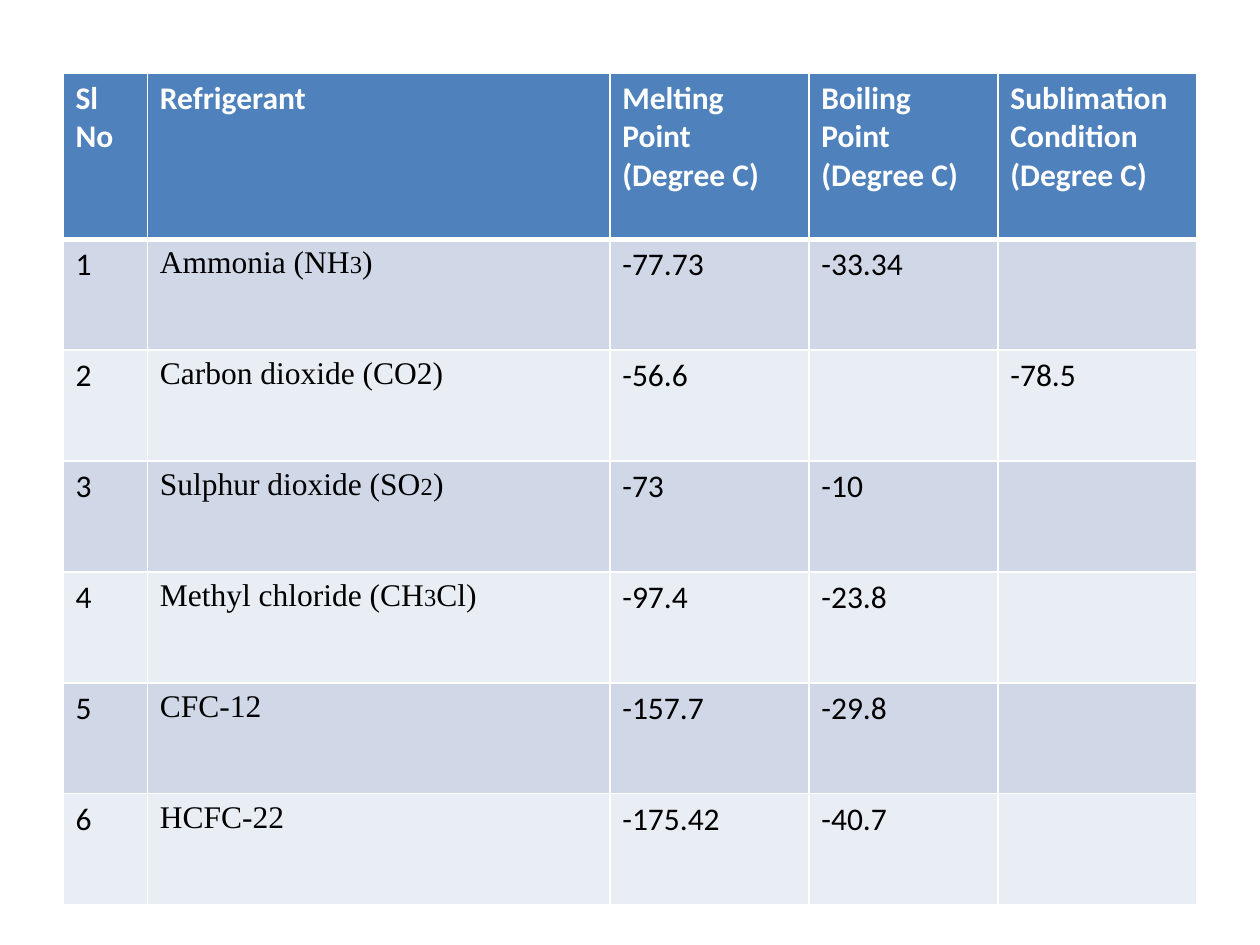
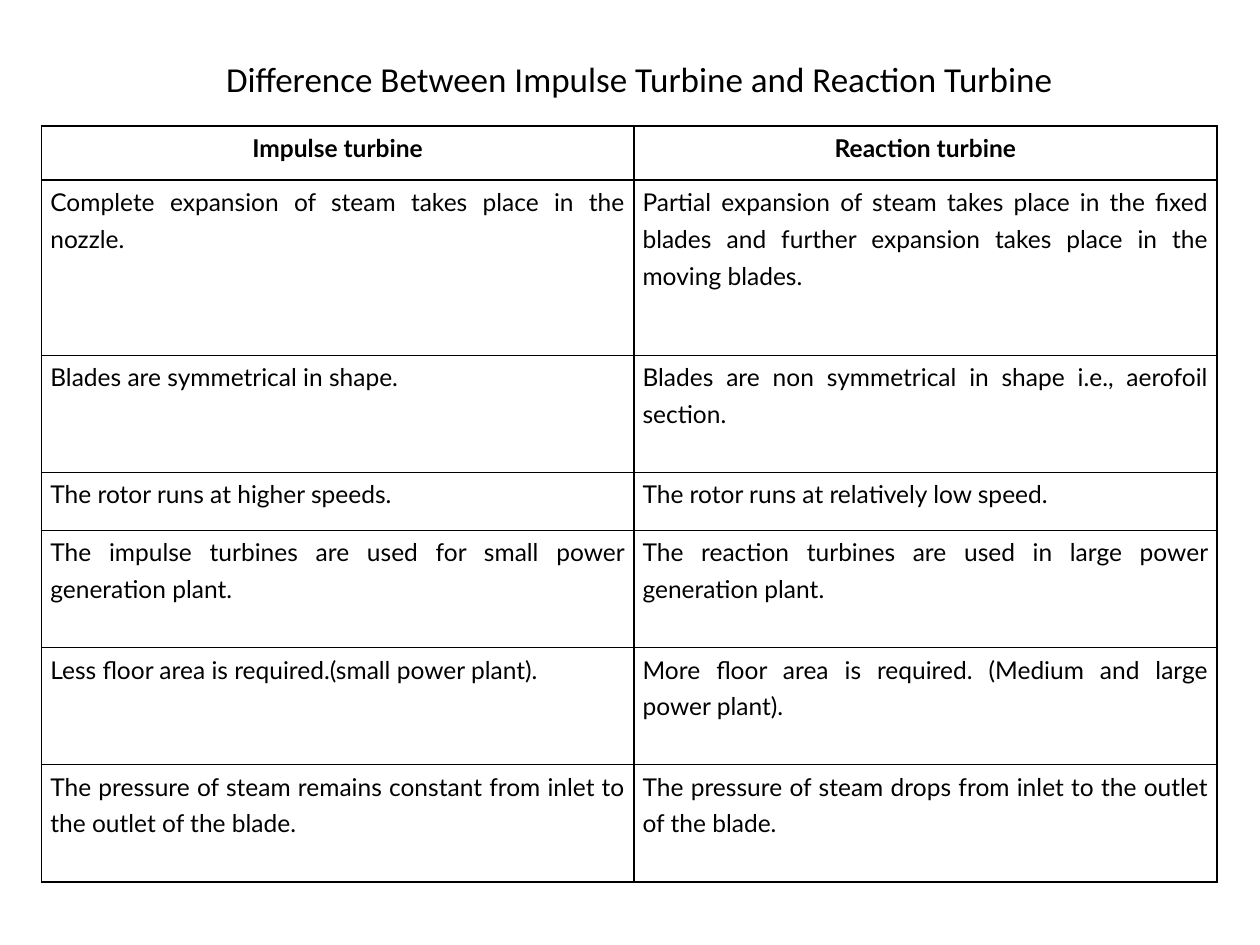
from pptx import Presentation
from pptx.dml.color import RGBColor
from pptx.enum.text import MSO_ANCHOR, PP_ALIGN as AL
from pptx.oxml import parse_xml
from pptx.oxml.ns import nsdecls
from pptx.util import Inches, Pt

rgb = RGBColor.from_string
BLACK, WHITE, BLUE = "000000", "FFFFFF", "4F81BD"
BANDS = ["E9EDF4", "D0D8E8"]


def write(tf, text, font="Calibri", size=18, small=14, color=BLACK, bold=False,
          align=AL.LEFT, spacing=1.0):
    for i, line in enumerate(text.split("\n")):
        p = tf.paragraphs[0] if i == 0 else tf.add_paragraph()
        p.alignment = align
        p.line_spacing = spacing
        for j, part in enumerate(line.split("_")):
            if part:
                r = p.add_run()
                r.text = part
                r.font.name = font
                r.font.size = Pt(small if j % 2 else size)
                r.font.bold = bold
                r.font.color.rgb = rgb(color)


def add_grid(s, left, top, widths, heights, border, header_line=1):
    size = Inches(sum(widths)), Inches(sum(heights))
    table = s.shapes.add_table(len(heights), len(widths), Inches(left), Inches(top), *size).table
    table.first_row = table.horz_banding = False
    for col, w in zip(table.columns, widths):
        col.width = Inches(w)
    for i, (row, h) in enumerate(zip(table.rows, heights)):
        row.height = Inches(h)
        for cell in row.cells:
            for side in "LRTB":
                thick = (i, side) in [(0, "B"), (1, "T")]
                width = Pt(header_line if thick else 1)
                cell._tc.get_or_add_tcPr().append(parse_xml(
                    f'<a:ln{side} {nsdecls("a")} w="{width}"><a:solidFill>'
                    f'<a:srgbClr val="{border}"/></a:solidFill></a:ln{side}>'))
    return table


prs = Presentation()
prs.slide_width, prs.slide_height = Inches(10), Inches(7.5)
blank = prs.slide_layouts[6]

refrigerants = [
    ["Sl No", "Refrigerant", "Melting Point\n(Degree C)", "Boiling Point\n(Degree C)",
     "Sublimation Condition\n(Degree C)"],
    ["1", "Ammonia (NH_3_)", "-77.73", "-33.34", ""],
    ["2", "Carbon dioxide (CO2)", "-56.6", "", "-78.5"],
    ["3", "Sulphur dioxide (SO_2_)", "-73", "-10", ""],
    ["4", "Methyl chloride (CH_3_Cl)", "-97.4", "-23.8", ""],
    ["5", "CFC-12", "-157.7", "-29.8", ""],
    ["6", "HCFC-22", "-175.42", "-40.7", ""],
]
s = prs.slides.add_slide(blank)
table = add_grid(s, 0.5, 0.58, [0.67, 3.67, 1.58, 1.5, 1.58], [1.32] + [0.88] * 6, WHITE, 3)
for i, row in enumerate(refrigerants):
    for j, text in enumerate(row):
        cell = table.cell(i, j)
        cell.fill.solid()
        cell.fill.fore_color.rgb = rgb(BANDS[i % 2] if i else BLUE)
        write(cell.text_frame, text, bold=i == 0, color=BLACK if i else WHITE,
              font="Times New Roman" if i and j == 1 else "Calibri")

turbines = [
    ["Impulse turbine", "Reaction turbine"],
    ["Complete expansion of steam takes place in the nozzle.",
     "Partial expansion of steam takes place in the fixed blades and further expansion "
     "takes place in the moving blades."],
    ["Blades are symmetrical in shape.",
     "Blades are non symmetrical in shape i.e., aerofoil section."],
    ["The rotor runs at higher speeds.", "The rotor runs at relatively low speed."],
    ["The impulse turbines are used for small power generation plant.",
     "The reaction turbines are used in large power generation plant."],
    ["Less floor area is required.(small power plant).",
     "More floor area is required. (Medium and large power plant)."],
    ["The pressure of steam remains constant from inlet to the outlet of the blade.",
     "The pressure of steam drops from inlet to the outlet of the blade."],
]
s = prs.slides.add_slide(blank)
tf = s.shapes.add_textbox(Inches(0.83), Inches(0.42), Inches(8.49), Inches(0.4)).text_frame
tf.word_wrap = True
tf.vertical_anchor = MSO_ANCHOR.MIDDLE
write(tf, "Difference Between Impulse Turbine and Reaction Turbine", size=20, align=AL.CENTER)

table = add_grid(s, 0.33, 1, [4.7, 4.63], [0.43, 1.39, 0.93, 0.46] + [0.93] * 3, BLACK)
for i, row in enumerate(turbines):
    for j, text in enumerate(row):
        cell = table.cell(i, j)
        cell.fill.background()
        cell.margin_left = cell.margin_right = Inches(0.07)
        cell.margin_top = cell.margin_bottom = 0
        write(cell.text_frame, text, font="Lato", size=14, bold=i == 0, spacing=1.25,
              align=AL.JUSTIFY if i else AL.CENTER)

prs.save("out.pptx")
